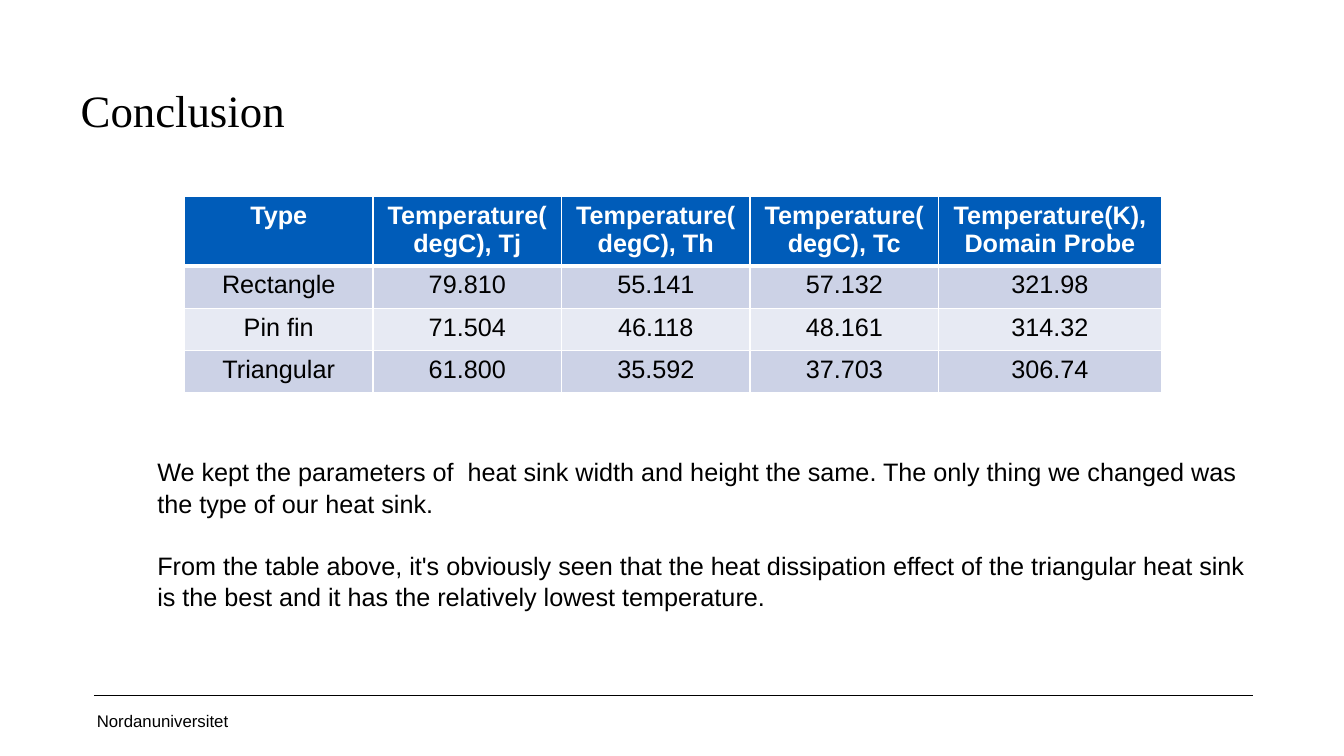
import pptx
import pptx.dml.color
import pptx.enum.shapes
import pptx.enum.text
import pptx.oxml
import pptx.oxml.ns
import pptx.util
from pptx.util import Inches

COLORS = {
    "ink": "000000",
    "paper": "FFFFFF",
    "header": "005CB9",
    "band_dark": "CCD2E6",
    "band_light": "E7EAF3",
}
HEADINGS = [
    "Type",
    "Temperature(degC), Tj",
    "Temperature(degC), Th",
    "Temperature(degC), Tc",
    "Temperature(K), Domain Probe",
]
RESULTS = [
    ["Rectangle", "79.810", "55.141", "57.132", "321.98"],
    ["Pin fin", "71.504", "46.118", "48.161", "314.32"],
    ["Triangular", "61.800", "35.592", "37.703", "306.74"],
]
FINDINGS = [
    "We kept the parameters of  heat sink width and height the same. "
    "The only thing we changed was the type of our heat sink.",
    "From the table above, it's obviously seen that the heat dissipation effect "
    "of the triangular heat sink is the best and it has the relatively lowest temperature.",
]
ALIGN = pptx.enum.text.PP_ALIGN
ANCHOR = pptx.enum.text.MSO_ANCHOR


class SlideBuilder:
    """Hold the style and the current page, and add each kind of element."""

    def __init__(self, page):
        self.page = page
        self.font = "Arial"
        self.title_font = "Times New Roman"
        self.size = 18
        self.leading = 1.05

    def color(self, name):
        return pptx.dml.color.RGBColor.from_string(COLORS[name])

    def add_span(self, para, text, size=None, font=None, color="ink", bold=False, align=ALIGN.LEFT):
        para.alignment = align
        span = para.add_run()
        span.text = text
        span.font.size = pptx.util.Pt(size or self.size)
        span.font.name = font or self.font
        span.font.bold = bold
        span.font.color.rgb = self.color(color)

    def place(self, box, left, top, width, height):
        box.left, box.top = Inches(left), Inches(top)
        box.width, box.height = Inches(width), Inches(height)
        frame = box.text_frame
        frame.word_wrap = True
        frame.auto_size = pptx.enum.text.MSO_AUTO_SIZE.NONE
        frame.vertical_anchor = ANCHOR.TOP
        return frame

    def title(self, text, *bounds):
        para = self.place(self.page.shapes.title, *bounds).paragraphs[0]
        para.line_spacing = self.leading
        self.add_span(para, text, size=32, font=self.title_font)

    def body(self, texts, *bounds):
        frame = self.place(self.page.placeholders[1], *bounds)
        for index, text in enumerate(texts):
            para = frame.add_paragraph() if index else frame.paragraphs[0]
            para.line_spacing = self.leading
            para.space_before = pptx.util.Pt(21.7 if index else 0)
            self.add_span(para, text)
            properties = para._p.get_or_add_pPr()
            properties.set("marL", "0")
            properties.set("indent", "0")
            properties.append(pptx.oxml.parse_xml(f"<a:buNone {pptx.oxml.ns.nsdecls('a')}/>"))

    def footer(self, text, *bounds):
        box = self.page.shapes.add_textbox(*map(Inches, bounds))
        frame = self.place(box, *bounds)
        frame.vertical_anchor = ANCHOR.MIDDLE
        frame.margin_left = Inches(0.04)
        self.add_span(frame.paragraphs[0], text, size=12)

    def rule(self, left, right, top):
        line = self.page.shapes.add_connector(
            pptx.enum.shapes.MSO_CONNECTOR.STRAIGHT,
            Inches(left), Inches(top), Inches(right), Inches(top),
        )
        line.line.color.rgb = self.color("ink")
        line.line.width = pptx.util.Pt(0.25)
        line._element.spPr.append(pptx.oxml.parse_xml(f"<a:effectLst {pptx.oxml.ns.nsdecls('a')}/>"))

    def border(self, cell, **widths):
        properties = cell._tc.get_or_add_tcPr()
        for side in "LRTB":
            properties.append(pptx.oxml.parse_xml(
                f'<a:ln{side} {pptx.oxml.ns.nsdecls("a")} w="{pptx.util.Pt(widths.get(side, 1))}">'
                f'<a:solidFill><a:srgbClr val="{COLORS["paper"]}"/></a:solidFill></a:ln{side}>'
            ))

    def table(self, rows, left, top, widths, heights):
        grid = self.page.shapes.add_table(
            len(rows), len(widths), Inches(left), Inches(top),
            Inches(sum(widths)), Inches(sum(heights)),
        ).table
        for column, width in zip(grid.columns, widths):
            column.width = Inches(width)
        for index, (texts, height) in enumerate(zip(rows, heights)):
            grid.rows[index].height = Inches(height)
            heading = index == 0
            fill = "header" if heading else ("band_light", "band_dark")[index % 2]
            edges = {0: {"B": 3}, 1: {"T": 3}}.get(index, {})
            for cell, text in zip(grid.rows[index].cells, texts):
                self.border(cell, **edges)
                cell.fill.solid()
                cell.fill.fore_color.rgb = self.color(fill)
                self.add_span(
                    cell.text_frame.paragraphs[0], text, bold=heading,
                    color="paper" if heading else "ink", align=ALIGN.CENTER,
                )


def main():
    deck = pptx.Presentation()
    deck.slide_width, deck.slide_height = Inches(13.33), Inches(7.5)
    builder = SlideBuilder(deck.slides.add_slide(deck.slide_layouts[1]))
    builder.footer("Nordanuniversitet", 0.92, 6.95, 3, 0.4)
    builder.rule(0.93, 12.43, 6.9)
    builder.title("Conclusion", 0.7, 0.74, 4.05, 0.64)
    builder.table(
        [HEADINGS] + RESULTS, 1.83, 1.95,
        [1.87] * 4 + [2.21], [0.69] + [0.42] * len(RESULTS),
    )
    builder.body(FINDINGS, 1.46, 4.46, 11.08, 1.61)
    deck.save("out.pptx")


if __name__ == "__main__":
    main()
